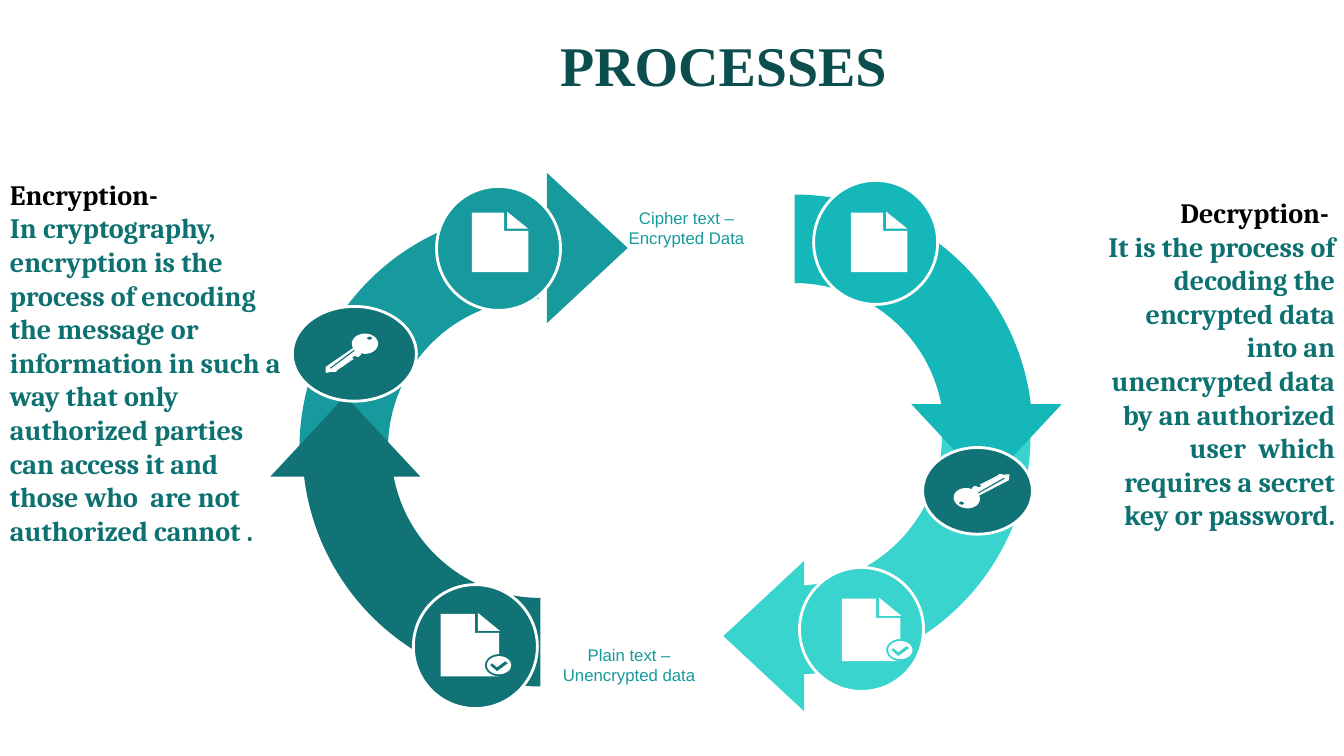
from math import cos, radians, sin

from pptx import Presentation
from pptx.dml.color import RGBColor
from pptx.enum.shapes import MSO_SHAPE as Shape
from pptx.enum.text import MSO_ANCHOR as Anchor, PP_ALIGN as Align
from pptx.util import Inches, Pt

DEEP, TEAL, CYAN, AQUA = "117376", "179A9D", "16B7B8", "38D4CD"
WHITE, BLACK, TITLE, BODY = "FFFFFF", "000000", "0C4D4E", "0D7171"

ENCRYPTION = (
    "In cryptography, encryption is the process of encoding the message or "
    "information in such a way that only authorized parties can access it and "
    "those who  are not authorized cannot ."
)
DECRYPTION = (
    "It is the process of decoding the encrypted data into an unencrypted data "
    "by an authorized user  which requires a secret key or password."
)


def color(value):
    return RGBColor.from_string(value)


def write(paragraph, text, font="Arial", size=12, fill=TEAL, bold=False, align=Align.LEFT):
    paragraph.alignment = align
    run = paragraph.add_run()
    run.text = text
    run.font.name = font
    run.font.size = Pt(size)
    run.font.bold = bold
    run.font.color.rgb = color(fill)


def arc(x, y, radius_x, radius_y, start=0, end=360, steps=36):
    angles = [radians(start + (end - start) * i / steps) for i in range(steps + 1)]
    return [(x + radius_x * cos(angle), y + radius_y * sin(angle)) for angle in angles]


def document_outlines():
    page = [(0, 0.01), (0.32, 0.01), (0.32, 0.19), (0.56, 0.19), (0.56, 0.6), (0, 0.6)]
    fold = [(0.35, 0), (0.56, 0.17), (0.35, 0.17)]
    return [page, fold]


def checked_document_outlines():
    page = [(0, 0.01), (0.34, 0.01), (0.34, 0.2), (0.58, 0.2)]
    page += arc(0.58, 0.52, 0.14, 0.11, -90, -270) + [(0, 0.63)]
    fold = [(0.37, 0), (0.59, 0.18), (0.37, 0.18)]
    badge = arc(0.58, 0.52, 0.12, 0.09)
    check = [(0.64, 0.48), (0.56, 0.54), (0.51, 0.5), (0.49, 0.52), (0.56, 0.58), (0.67, 0.5)]
    return [page, fold, badge, check]


def key_outlines():
    outline = arc(0.39, 0.1, 0.13, 0.1, -90, 115)
    outline += [(0.35, 0.2), (0.35, 0.21), (0.33, 0.23), (0.31, 0.23), (0.29, 0.22), (0.26, 0.24)]
    for tooth in range(5):
        x, y = 0.28 - 0.032 * tooth, 0.25 + 0.022 * tooth
        outline += [(x, y), (x - 0.03, y + 0.02), (x - 0.04, y + 0.01), (x - 0.05, y + 0.01)]
    outline += [(0.12, 0.36), (0.1, 0.38), (0.05, 0.38), (0, 0.39), (0, 0.33)]
    outline += arc(0.39, 0.1, 0.13, 0.1, 155, 270)
    slot = [(0.28, 0.16), (0.04, 0.34), (0.05, 0.35), (0.29, 0.17)]
    hole = arc(0.435, 0.045, 0.025, 0.015)
    return [outline, slot, hole]


class ProcessSlide:
    def __init__(self, presentation):
        self.slide = presentation.slides.add_slide(presentation.slide_layouts[5])
        self.shapes = self.slide.shapes

    def title(self, text, left, top, width, height):
        shape = self.shapes.title
        self.place(shape, left, top, width, height)
        shape.text_frame.vertical_anchor = Anchor.MIDDLE
        write(shape.text_frame.paragraphs[0], text, font="Times New Roman",
              size=40, fill=TITLE, bold=True, align=Align.CENTER)

    def place(self, shape, left, top, width, height):
        shape.left, shape.top = Inches(left), Inches(top)
        shape.width, shape.height = Inches(width), Inches(height)

    def paint(self, shape, fill, rotation=0, outlined=False):
        shape.shadow.inherit = False
        shape.rotation = rotation
        shape.fill.solid()
        shape.fill.fore_color.rgb = color(fill)
        if outlined:
            shape.line.color.rgb = color(WHITE)
            shape.line.width = Pt(2)
        else:
            shape.line.fill.background()

    def preset(self, kind, left, top, width, height, fill, **look):
        shape = self.shapes.add_shape(
            kind, Inches(left), Inches(top), Inches(width), Inches(height))
        self.paint(shape, fill, **look)
        return shape

    def ring_part(self, left, top, fill, rotation):
        shape = self.preset(Shape.BLOCK_ARC, left, top, 4.72, 4.72, fill, rotation=rotation)
        for index, value in enumerate((108, 162.28, 0.186)):
            shape.adjustments[index] = value

    def arrow_tip(self, left, top, fill, rotation):
        self.preset(Shape.ISOSCELES_TRIANGLE, left, top, 1.49, 0.8, fill, rotation=rotation)

    def disc(self, left, top, fill, width=1.23, height=1.23):
        self.preset(Shape.OVAL, left, top, width, height, fill, outlined=True)

    def icon(self, outlines, left, top, rotation=0):
        paths = [[(Inches(left + x), Inches(top + y)) for x, y in outline]
                 for outline in outlines]
        builder = self.shapes.build_freeform(*paths[0][0])
        for index, points in enumerate(paths):
            if index:
                builder.move_to(*points[0])
            builder.add_line_segments(points[1:], close=True)
        self.paint(builder.convert_to_shape(), WHITE, rotation)

    def text_box(self, left, top, width, height, *paragraphs, **style):
        frame = self.shapes.add_textbox(
            Inches(left), Inches(top), Inches(width), Inches(height)).text_frame
        frame.word_wrap = True
        for index, (text, fill) in enumerate(paragraphs):
            paragraph = frame.add_paragraph() if index else frame.paragraphs[0]
            write(paragraph, text, fill=fill, **style)


def main():
    presentation = Presentation()
    presentation.slide_width = Inches(13.33)
    presentation.slide_height = Inches(7.5)
    page = ProcessSlide(presentation)

    page.title("PROCESSES", 0.51, 0.22, 13.33, 0.84)

    ring = [(2.97, 2.09, TEAL, 0), (5.52, 1.93, CYAN, 90),
            (5.5, 1.97, AQUA, 180), (3, 2.09, DEEP, 270)]
    for part in ring:
        page.ring_part(*part)
    tips = [(5.08, 2.06, TEAL, 90), (9.04, 4.01, CYAN, 180),
            (6.83, 5.91, AQUA, 270), (2.68, 3.93, DEEP, 0)]
    for tip in tips:
        page.arrow_tip(*tip)

    definition = dict(font="Cambria", size=20, bold=True)
    page.text_box(0, 1.71, 2.9, 3.8, ("Encryption-", BLACK), (ENCRYPTION, BODY), **definition)
    page.text_box(10.79, 1.89, 2.55, 3.67, ("Decryption- ", BLACK), (DECRYPTION, BODY),
                  align=Align.RIGHT, **definition)

    discs = [(4.1, 5.8, DEEP), (4.33, 1.85, TEAL), (8.07, 1.79, CYAN), (7.93, 5.63, AQUA),
             (9.15, 4.44, DEEP, 1.09, 0.86), (2.9, 3.04, DEEP, 1.23, 0.94)]
    for disc in discs:
        page.disc(*disc)

    page.text_box(5.4, 6.35, 1.68, 0.5, ("Plain text – Unencrypted data", TEAL), align=Align.CENTER)
    page.text_box(6.01, 2.01, 1.6, 0.5, ("Cipher text – Encrypted Data", TEAL), align=Align.CENTER)

    for left in (4.68, 8.44):
        page.icon(document_outlines(), left, 2.1)
    for left, top in ((4.37, 6.08), (8.35, 5.93)):
        page.icon(checked_document_outlines(), left, top)
    page.icon(key_outlines(), 3.23, 3.31)
    page.icon(key_outlines(), 9.47, 4.67, rotation=187.4)

    presentation.save("out.pptx")


if __name__ == "__main__":
    main()
